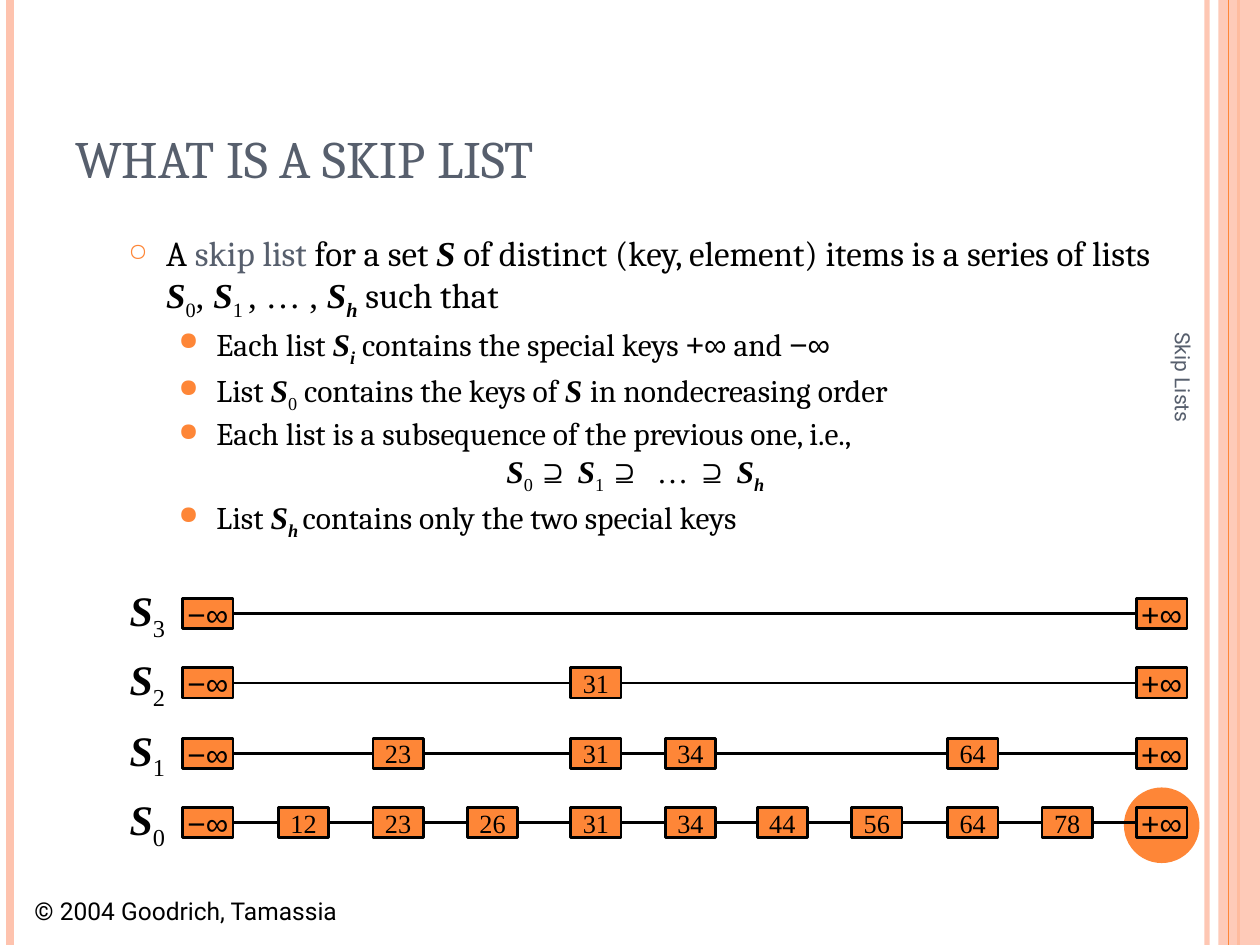
from lxml import etree
from pptx import Presentation
from pptx import util as u
from pptx.dml.color import RGBColor
from pptx.enum import shapes, text
from pptx.oxml.ns import qn

ORANGE, PEACH, SLATE, BLACK = "FE8637", "FEC3AE", "575F6D", "000000"
# style name: font, bold italic, subscript, colour
STYLES = {
    "plain": ("Cambria", False, False, BLACK),
    "term": ("Cambria", False, False, SLATE),
    "symbol": ("Arial", False, False, BLACK),
    "note": ("Roboto", False, False, BLACK),
    "side": ("Roboto", False, False, SLATE),
    "serif": ("Times New Roman", False, False, BLACK),
    "var": ("Times New Roman", True, False, BLACK),
    "sub": ("Times New Roman", False, True, BLACK),
    "varsub": ("Times New Roman", True, True, BLACK),
}

deck = Presentation()
deck.slide_width, deck.slide_height = u.Inches(10), u.Inches(7.5)
page = deck.slides.add_slide(deck.slide_layouts[6])


def add_line(x1, y1, x2, y2, color, width):
    line = page.shapes.add_connector(
        shapes.MSO_CONNECTOR.STRAIGHT, *map(u.Inches, (x1, y1, x2, y2)))
    line.line.color.rgb = RGBColor.from_string(color)
    line.line.width = u.Pt(width)
    etree.SubElement(line._element.spPr, qn("a:effectLst"))
    return line


def write(para, size, pieces):
    for words, style in pieces:
        font, strong, lowered, color = STYLES[style]
        span = para.add_run()
        span.text = words
        span.font.name, span.font.size = font, u.Pt(size)
        span.font.bold = span.font.italic = strong
        span.font.color.rgb = RGBColor.from_string(color)
        if lowered:
            span._r.get_or_add_rPr().set("baseline", "-25000")


# Stripes down both edges, and the disc at the lower right
edge = add_line(9.58, 0, 9.58, 7.5, PEACH, 3)
add_line(0.08, 0, 0.08, 7.5, PEACH, 4.5)
add_line(9.83, 0, 9.83, 7.5, ORANGE, 1.5)
band = page.shapes.add_shape(
    shapes.MSO_SHAPE.RECTANGLE, *map(u.Inches, (9.67, 0, 0.33, 7.5)))
add_line(9.75, 0, 9.75, 7.5, ORANGE, 0.75)
disc = page.shapes.add_shape(
    shapes.MSO_SHAPE.OVAL, *map(u.Inches, (8.92, 6.25, 0.6, 0.6)))
for shape, color in ((band, PEACH), (disc, ORANGE)):
    shape.shadow.inherit = False
    shape.fill.solid()
    shape.fill.fore_color.rgb = RGBColor.from_string(color)
    shape.line.fill.background()
for shape, opacity in ((edge, 93000), (band, 87000)):
    tint = next(shape._element.spPr.iter(qn("a:srgbClr")))
    etree.SubElement(tint, qn("a:alpha"), val=str(opacity))

# Footer, title, side label and list names: place, rotation, wrap, anchor, text
ROW_TOPS = [6.41, 5.86, 5.3, 4.75]
TOP, MIDDLE, BOTTOM = (text.MSO_ANCHOR.TOP, text.MSO_ANCHOR.MIDDLE,
                       text.MSO_ANCHOR.BOTTOM)
labels = [
    ((0.12, 7.06, 2.71, 0.34), 0, False, TOP, 14,
     [("© 2004 Goodrich, Tamassia", "note")]),
    ((0.5, 0.3, 8.17, 1.25), 0, True, BOTTOM, 30,
     [("WHAT IS A SKIP LIST", "term")]),
    ((7.64, 4.09, 3.5, 0.4), 90, True, MIDDLE, 12, [("Skip Lists", "side")]),
]
for number, top in enumerate(ROW_TOPS):
    labels.append(((0.93, top - 0.16, 0.48, 0.56), 0, False, TOP, 24,
                   [("S", "var"), (str(number), "sub")]))
for place, rotation, wrap, anchor, size, pieces in labels:
    box = page.shapes.add_textbox(*map(u.Inches, place))
    box.rotation = rotation
    box.text_frame.word_wrap = wrap
    box.text_frame.vertical_anchor = anchor
    para = box.text_frame.paragraphs[0]
    para.alignment = text.PP_ALIGN.LEFT if wrap else text.PP_ALIGN.CENTER
    write(para, size, pieces)

# Definition with bullets: level, then lines of pieces
bullets = [
    (0, [[("A ", "plain"), ("skip list", "term"), (" for a set ", "plain"),
          ("S", "var"),
          (" of distinct (key, element) items is a series of lists ", "plain"),
          ("S", "var"), ("0", "sub"), (", ", "serif"),
          ("S", "var"), ("1 ", "sub"), (", … , ", "serif"),
          ("S", "var"), ("h", "varsub"), (" such that", "plain")]]),
    (1, [[("Each list ", "plain"), ("S", "var"), ("i", "varsub"),
          (" contains the special keys ", "plain"), ("+∞", "symbol"),
          (" and ", "plain"), ("−∞", "symbol")]]),
    (1, [[("List ", "plain"), ("S", "var"), ("0", "sub"),
          (" contains the keys of ", "plain"), ("S ", "var"),
          ("in nondecreasing order", "plain")]]),
    (1, [[("Each list is a subsequence of the previous one, i.e.,", "plain")],
         [("\t\t\t", "plain"), ("S", "var"), ("0 ", "sub"), ("⊇ ", "symbol"),
          ("S", "var"), ("1 ", "sub"), ("⊇ ", "symbol"), (" … ", "serif"),
          ("⊇ ", "symbol"), ("S", "var"), ("h", "varsub")]]),
    (1, [[("List ", "plain"), ("S", "var"), ("h ", "varsub"),
          ("contains only the two special keys", "plain")]]),
]
# size, space before, left margin, bullet sign, bullet percent
LEVELS = [(20, 6, 0.3, "○", 70), (18, 4.5, 0.7, "●", 80)]
body = page.shapes.add_textbox(*map(u.Inches, (0.92, 1.83, 8.67, 2.67)))
body.text_frame.word_wrap = True
for index, (level, lines) in enumerate(bullets):
    frame = body.text_frame
    para = frame.add_paragraph() if index else frame.paragraphs[0]
    size, before, margin, sign, percent = LEVELS[level]
    para.level = level
    para.line_spacing, para.space_before = 0.9, u.Pt(before)
    props = para._p.get_or_add_pPr()
    props.set("marL", str(u.Inches(margin)))
    props.set("indent", str(u.Inches(-0.3)))
    color = etree.SubElement(props, qn("a:buClr"))
    etree.SubElement(color, qn("a:srgbClr"), val=ORANGE)
    etree.SubElement(props, qn("a:buSzPct"), val=str(percent * 1000))
    etree.SubElement(props, qn("a:buChar"), char=sign)
    tabs = etree.SubElement(props, qn("a:tabLst"))
    for inch in range(1, 9):
        etree.SubElement(tabs, qn("a:tab"), pos=str(u.Inches(inch)), algn="l")
    for row, pieces in enumerate(lines):
        if row:
            para.add_line_break()
        write(para, size, pieces)

# Skip list: each key keeps its column in every row, links fill the gaps
COLUMNS = {"−∞": 1.45, "12": 2.21, "23": 2.96, "26": 3.71, "31": 4.53,
           "34": 5.28, "44": 6.01, "56": 6.76, "64": 7.52, "78": 8.27,
           "+∞": 9.02}
NODE_WIDTH, NODE_HEIGHT = 0.4, 0.24
rows = [list(COLUMNS), ["−∞", "23", "31", "34", "64", "+∞"],
        ["−∞", "31", "+∞"], ["−∞", "+∞"]]
for top, keys in zip(ROW_TOPS, rows):
    for key in keys:
        node = page.shapes.add_shape(
            shapes.MSO_SHAPE.RECTANGLE,
            *map(u.Inches, (COLUMNS[key], top, NODE_WIDTH, NODE_HEIGHT)))
        node.shadow.inherit = False
        node.fill.solid()
        node.fill.fore_color.rgb = RGBColor.from_string(ORANGE)
        node.line.color.rgb = RGBColor.from_string(BLACK)
        node.line.width = u.Pt(1.5)
        node.text_frame.word_wrap = False
        node.text_frame.vertical_anchor = MIDDLE
        para = node.text_frame.paragraphs[0]
        para.alignment = text.PP_ALIGN.CENTER
        if "∞" in key:
            write(para, 18, [(key, "symbol")])
        else:
            write(para, 15, [(key, "serif")])
    middle = top + NODE_HEIGHT / 2
    for left, right in zip(keys, keys[1:]):
        add_line(COLUMNS[left] + NODE_WIDTH + 0.01, middle,
                 COLUMNS[right] - 0.01, middle, BLACK, 1.5)

deck.save("out.pptx")
